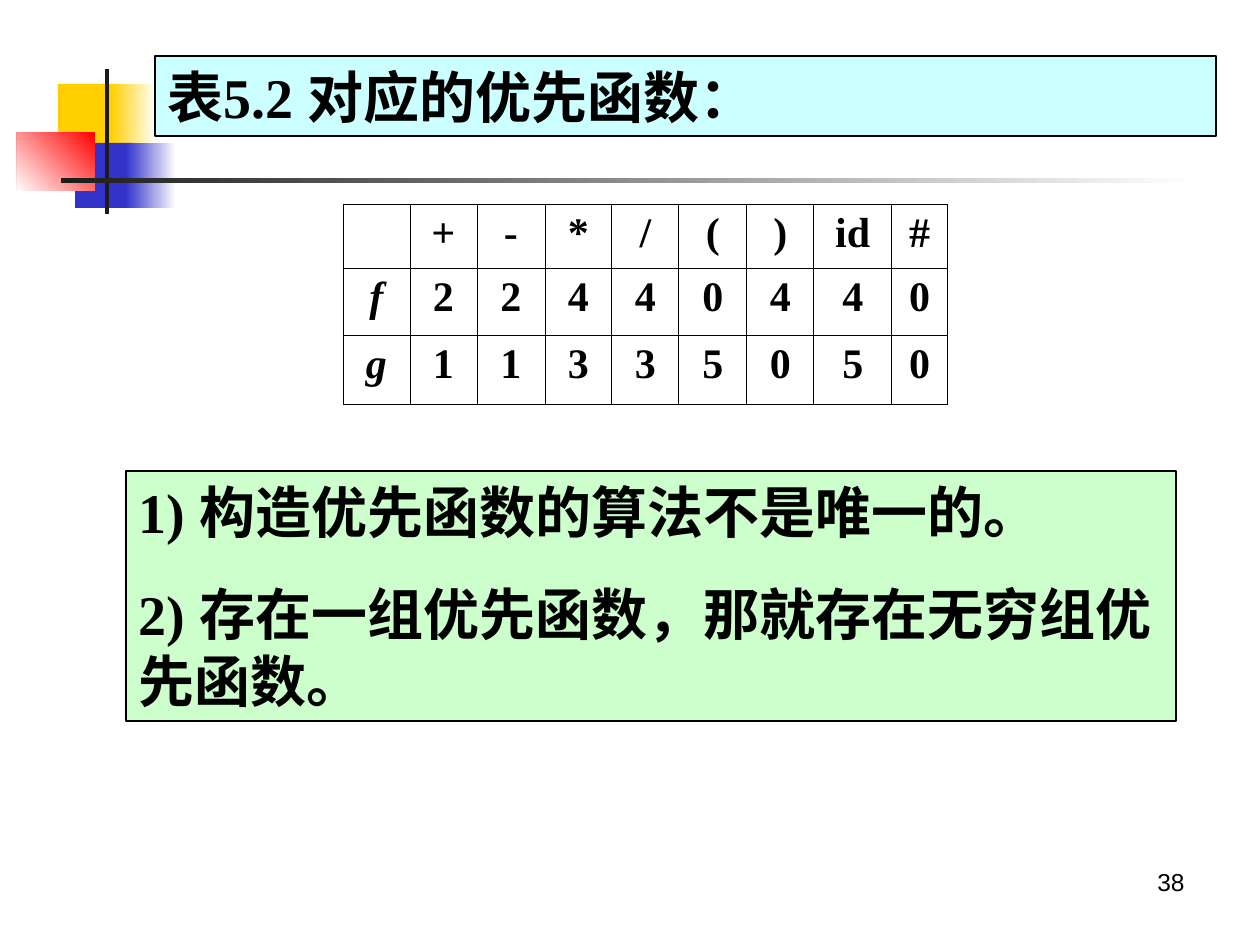
"""Build the slide on precedence functions for table 5.2."""
import pptx
import pptx.dml.color
import pptx.enum.shapes
import pptx.enum.text
import pptx.oxml
import pptx.oxml.ns
import pptx.util

RGB = pptx.dml.color.RGBColor
BLACK = RGB(0x00, 0x00, 0x00)
WHITE = RGB(0xFF, 0xFF, 0xFF)
CHARCOAL = RGB(0x1C, 0x1C, 0x1C)
YELLOW = RGB(0xFF, 0xCF, 0x01)
BLUE = RGB(0x33, 0x33, 0xCC)
RED = RGB(0xFF, 0x00, 0x00)
PALE_CYAN = RGB(0xCC, 0xFF, 0xFF)
PALE_GREEN = RGB(0xCC, 0xFF, 0xCC)

ALIGN = pptx.enum.text.PP_ALIGN
SERIF = "Times New Roman"
COLUMNS = [67, 67, 68, 67, 67, 68, 67, 78, 56]
ROWS = [64, 67, 69]
FUNCTIONS = [
    ["", "+", "-", "*", "/", "(", ")", "id", "#"],
    ["f", "2", "2", "4", "4", "0", "4", "4", "0"],
    ["g", "1", "1", "3", "3", "5", "0", "5", "0"],
]


def px(length):
    """Turn whole pixels into EMU."""
    return pptx.util.Emu(round(length * 914400 / 126))


def style(para, size, align, font=SERIF, bold=True, italic=False):
    """Set the alignment and font of a paragraph."""
    para.alignment = align
    para.font.name = font
    para.font.size = pptx.util.Pt(size)
    para.font.bold = bold
    para.font.italic = italic
    para.font.color.rgb = BLACK


def add_bar(page, place, color, fade_angle=None):
    """Add a borderless rectangle, plain or fading to white."""
    bar = page.shapes.add_shape(
        pptx.enum.shapes.MSO_SHAPE.RECTANGLE, *map(px, place))
    bar.shadow.inherit = False
    bar.line.fill.background()
    if fade_angle is None:
        bar.fill.solid()
        bar.fill.fore_color.rgb = color
        return
    bar.fill.gradient()
    bar.fill.gradient_angle = fade_angle
    for stop, shade in zip(bar.fill.gradient_stops, (color, WHITE)):
        stop.color.rgb = shade


def add_ornament(page):
    """Add the coloured squares and the crossing rules."""
    add_bar(page, (58, 84, 60, 66), YELLOW)
    add_bar(page, (111, 84, 45, 66), YELLOW, 0)
    add_bar(page, (75, 143, 58, 65), BLUE)
    add_bar(page, (126, 143, 50, 65), BLUE, 0)
    add_bar(page, (17, 132, 78, 59), RED, 225)
    add_bar(page, (105, 69, 4, 145), CHARCOAL)
    add_bar(page, (61, 178, 1134, 5), CHARCOAL, 0)


def fill_panel(page, box, place, color, lines):
    """Turn a placeholder into a framed panel in front of the ornament."""
    page.shapes._spTree.append(box._element)
    box.left, box.top, box.width, box.height = map(px, place)
    box.fill.solid()
    box.fill.fore_color.rgb = color
    box.line.color.rgb = BLACK
    box.line.width = pptx.util.Pt(1)
    frame = box.text_frame
    frame.text = "\n".join(lines)
    frame.word_wrap = True
    frame.auto_size = pptx.enum.text.MSO_AUTO_SIZE.NONE
    frame.vertical_anchor = pptx.enum.text.MSO_ANCHOR.TOP
    for index, para in enumerate(frame.paragraphs):
        para.space_before = pptx.util.Pt(20 if index else 0)
        props = para._p.get_or_add_pPr()
        props.set("marL", "0")
        props.set("indent", "0")
        props.append(pptx.oxml.parse_xml(
            f'<a:buNone {pptx.oxml.ns.nsdecls("a")}/>'))
        style(para, 32, ALIGN.LEFT)


def frame_cell(cell):
    """Clear the cell fill and draw thin black borders around it."""
    props = cell._tc.get_or_add_tcPr()
    for side in ("lnL", "lnR", "lnT", "lnB"):
        props.append(pptx.oxml.parse_xml(
            f'<a:{side} {pptx.oxml.ns.nsdecls("a")} w="5715"><a:solidFill>'
            f'<a:srgbClr val="{BLACK}"/></a:solidFill></a:{side}>'))
    cell.fill.background()


def add_function_table(page):
    """Add the table of precedence function values."""
    table = page.shapes.add_table(
        len(ROWS), len(COLUMNS), px(343), px(204),
        px(sum(COLUMNS)), px(sum(ROWS))).table
    table.first_row = table.horz_banding = False
    for column, width in zip(table.columns, COLUMNS):
        column.width = px(width)
    for row, height, values in zip(table.rows, ROWS, FUNCTIONS):
        row.height = px(height)
        for index, (cell, value) in enumerate(zip(row.cells, values)):
            cell.text = value
            style(cell.text_frame.paragraphs[0], 24, ALIGN.CENTER,
                  italic=index == 0)
            frame_cell(cell)


def add_page_number(page, number):
    """Add the page number at the lower right."""
    box = page.shapes.add_textbox(px(903), px(861), px(294), px(66))
    box.text_frame.word_wrap = True
    box.text_frame.text = number
    style(box.text_frame.paragraphs[0], 14, ALIGN.RIGHT, "Arial", bold=False)


def main():
    """Build and save the deck."""
    deck = pptx.Presentation()
    deck.slide_width, deck.slide_height = px(1260), px(945)
    page = deck.slides.add_slide(deck.slide_layouts[1])
    title, body = page.placeholders
    add_ornament(page)
    add_page_number(page, "38")
    fill_panel(page, title, (155, 56, 1061, 80), PALE_CYAN,
               ["表5.2 对应的优先函数："])
    fill_panel(page, body, (126, 471, 1050, 250), PALE_GREEN,
               ["1) 构造优先函数的算法不是唯一的。",
                "2) 存在一组优先函数，那就存在无穷组优先函数。"])
    add_function_table(page)
    deck.save("out.pptx")


if __name__ == "__main__":
    main()
